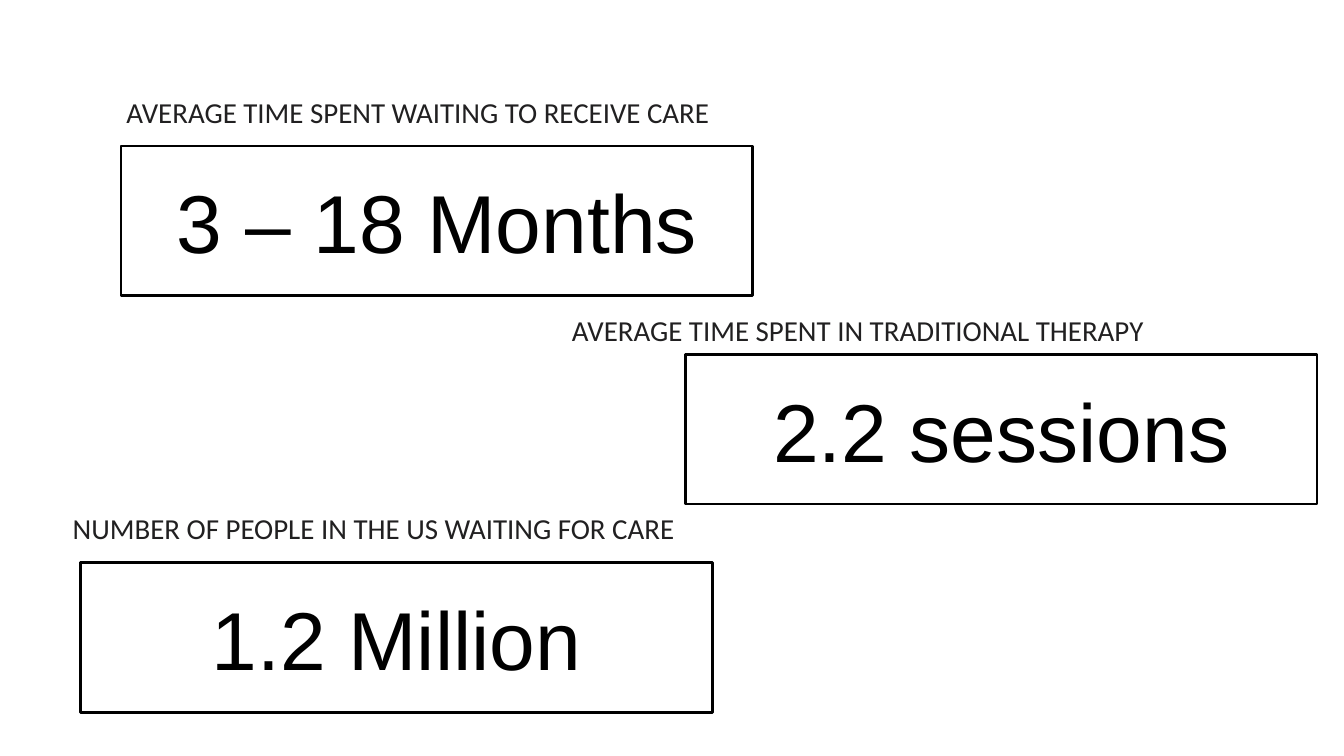
from pptx import Presentation
from pptx.dml.color import RGBColor
from pptx.enum.shapes import MSO_SHAPE
from pptx.enum.text import MSO_ANCHOR, PP_ALIGN
from pptx.util import Pt

BLACK = RGBColor(0x00, 0x00, 0x00)
CHARCOAL = RGBColor(0x21, 0x20, 0x21)

STATISTICS = [
    {"caption": "AVERAGE TIME SPENT WAITING TO RECEIVE CARE", "figure": "3 – 18 Months",
     "caption_box": (135.4, 101.5, 760.3, 23), "figure_left": 129.6},
    {"caption": "AVERAGE TIME SPENT IN TRADITIONAL THERAPY", "figure": "2.2 sessions",
     "caption_box": (612.8, 334.8, 735.8, 22.3), "figure_left": 734.4},
    {"caption": "NUMBER OF PEOPLE IN THE US WAITING FOR CARE", "figure": "1.2 Million",
     "caption_box": (77.9, 546.5, 735.8, 22.3), "figure_left": 86.4},
]
FIGURE_WIDTH, FIGURE_HEIGHT = 676.8, 160.5
FIRST_FIGURE_TOP, FIGURE_STEP = 156.4, 223.2


def style_text(frame, text, font_name, size, color, alignment, anchor):
    frame.text = text
    frame.vertical_anchor = anchor
    frame.paragraphs[0].alignment = alignment
    font = frame.paragraphs[0].runs[0].font
    font.name = font_name
    font.size = Pt(size)
    font.color.rgb = color


def add_caption(slide, text, left, top, width, height):
    right, bottom = left + width, top + height
    outline = slide.shapes.build_freeform(Pt(left), Pt(top))
    outline.add_line_segments(
        [(Pt(x), Pt(y)) for x, y in ((right, top), (right, bottom), (left, bottom))])
    caption = outline.convert_to_shape()
    caption.shadow.inherit = False
    caption.fill.background()
    caption.line.fill.background()
    frame = caption.text_frame
    frame.word_wrap = False
    frame.margin_left = frame.margin_right = frame.margin_top = frame.margin_bottom = 0
    style_text(frame, text, "Calibri", 31, CHARCOAL, PP_ALIGN.LEFT, MSO_ANCHOR.TOP)


def add_figure(slide, text, left, top):
    figure = slide.shapes.add_shape(
        MSO_SHAPE.RECTANGLE, Pt(left), Pt(top), Pt(FIGURE_WIDTH), Pt(FIGURE_HEIGHT))
    figure.shadow.inherit = False
    figure.fill.background()
    figure.line.color.rgb = BLACK
    figure.line.width = Pt(2.89)
    style_text(figure.text_frame, text, "Arial", 88, BLACK, PP_ALIGN.CENTER, MSO_ANCHOR.MIDDLE)


def main():
    deck = Presentation()
    deck.slide_width, deck.slide_height = Pt(1440), Pt(810)
    slide = deck.slides.add_slide(deck.slide_layouts[6])
    for statistic in STATISTICS:
        add_caption(slide, statistic["caption"], *statistic["caption_box"])
    for row, statistic in enumerate(STATISTICS):
        add_figure(slide, statistic["figure"], statistic["figure_left"],
                   FIRST_FIGURE_TOP + row * FIGURE_STEP)
    deck.save("out.pptx")


if __name__ == "__main__":
    main()
